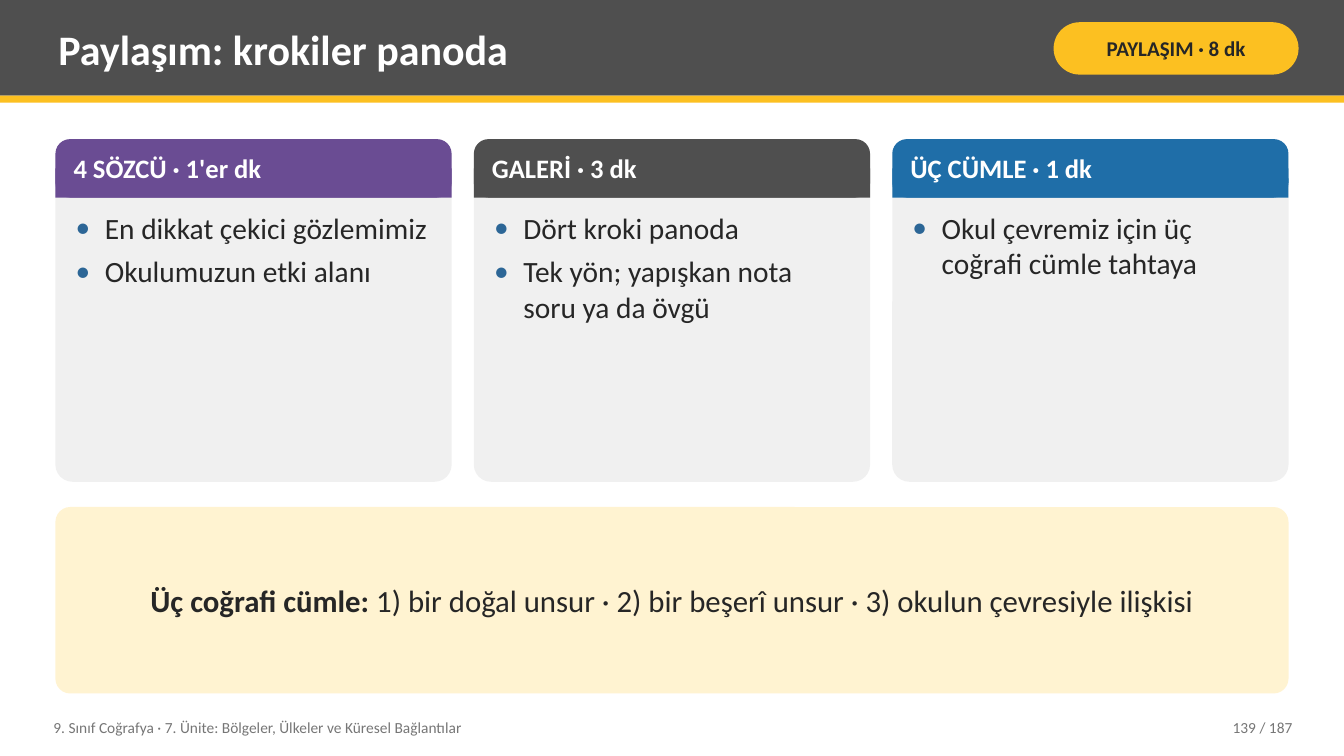
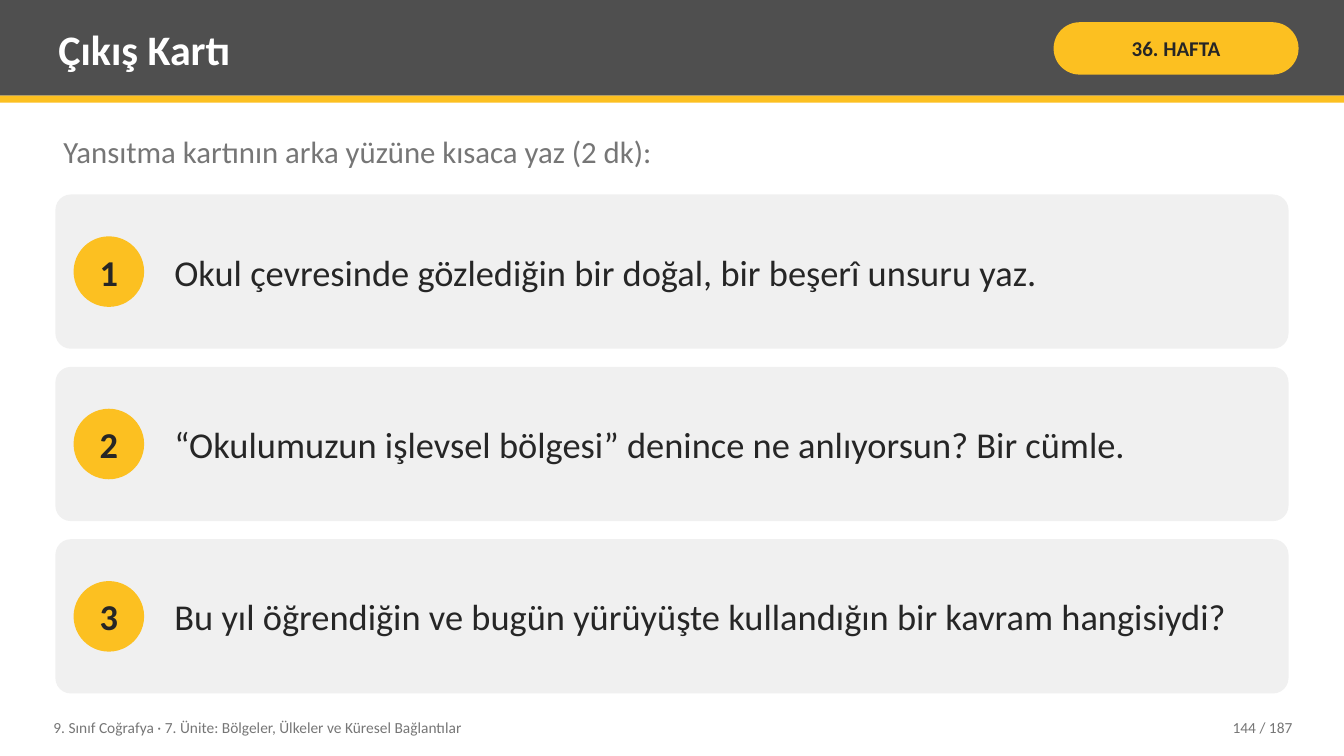
from lxml import etree
from pptx import Presentation
from pptx.dml.color import RGBColor
from pptx.enum.shapes import MSO_SHAPE
from pptx.enum.text import MSO_ANCHOR, PP_ALIGN
from pptx.oxml.ns import qn
from pptx.util import Inches, Pt

RECTANGLE = MSO_SHAPE.RECTANGLE
ROUNDED = MSO_SHAPE.ROUNDED_RECTANGLE
OVAL = MSO_SHAPE.OVAL
LEFT, CENTER, RIGHT = PP_ALIGN.LEFT, PP_ALIGN.CENTER, PP_ALIGN.RIGHT
TOP, MIDDLE = MSO_ANCHOR.TOP, MSO_ANCHOR.MIDDLE

FONT = "Calibri"
DARK, YELLOW, PALE_YELLOW = "4F4F4F", "FCC021", "FFF3D1"
PURPLE, BLUE, BULLET_BLUE = "6A4C93", "1F6EA8", "2C6696"
LIGHT, INK, MUTED, WHITE = "F0F0F0", "262626", "767676", "FFFFFF"

SLIDE_WIDTH, SLIDE_HEIGHT = 13.33, 7.5
MARGIN, CONTENT_WIDTH, CONTENT_BOTTOM = 0.55, 12.23, 6.88
FOOTER = "9. Sınıf Coğrafya · 7. Ünite: Bölgeler, Ülkeler ve Küresel Bağlantılar"


def add_box(slide, box, kind=None, fill=None, corner=None):
    lengths = [Inches(length) for length in box]
    if kind is None:
        return slide.shapes.add_textbox(*lengths)
    shape = slide.shapes.add_shape(kind, *lengths)
    shape.shadow.inherit = False
    shape.fill.solid()
    shape.fill.fore_color.rgb = RGBColor.from_string(fill)
    shape.line.fill.background()
    if corner is not None:
        shape.adjustments[0] = corner
    return shape


def write(shape, paragraphs, size, colour, bold=False, align=LEFT, anchor=MIDDLE,
          insets=(0.08, 0.04), wrap=True, bullets=False):
    frame = shape.text_frame
    horizontal, vertical = (Inches(inset) for inset in insets)
    frame_format = {
        "word_wrap": wrap, "vertical_anchor": anchor,
        "margin_left": horizontal, "margin_right": horizontal,
        "margin_top": vertical, "margin_bottom": vertical,
    }
    for name, value in frame_format.items():
        setattr(frame, name, value)
    for index, runs in enumerate(paragraphs):
        paragraph = frame.add_paragraph() if index else frame.paragraphs[0]
        paragraph.alignment = align
        if bullets:
            properties = paragraph._p.get_or_add_pPr()
            properties.set("marL", str(Inches(0.29)))
            properties.set("indent", str(-Inches(0.29)))
            bullet_colour = etree.SubElement(properties, qn("a:buClr"))
            etree.SubElement(bullet_colour, qn("a:srgbClr"), val=BULLET_BLUE)
            etree.SubElement(properties, qn("a:buFont"), typeface=FONT)
            etree.SubElement(properties, qn("a:buChar"), char="•")
            if index < len(paragraphs) - 1:
                paragraph.space_after = Pt(6)
        for text, run_bold in [(runs, bold)] if isinstance(runs, str) else runs:
            run = paragraph.add_run()
            run.text = text
            font_format = {"name": FONT, "size": Pt(size), "bold": run_bold}
            for name, value in font_format.items():
                setattr(run.font, name, value)
            run.font.color.rgb = RGBColor.from_string(colour)


presentation = Presentation()
presentation.slide_width = Inches(SLIDE_WIDTH)
presentation.slide_height = Inches(SLIDE_HEIGHT)

slides = []
for title, tag, page in [
    ("Paylaşım: krokiler panoda", "PAYLAŞIM · 8 dk", "139 / 187"),
    ("Çıkış Kartı", "36. HAFTA", "144 / 187"),
]:
    slide = presentation.slides.add_slide(presentation.slide_layouts[6])
    add_box(slide, (0, 0, SLIDE_WIDTH, 0.95), RECTANGLE, DARK)
    add_box(slide, (0, 0.95, SLIDE_WIDTH, 0.07), RECTANGLE, YELLOW)
    write(add_box(slide, (0.5, 0.07, 9.75, 0.82)), [title], 30, WHITE, bold=True)
    tag_pill = add_box(slide, (10.45, 0.22, 2.43, 0.52), ROUNDED, YELLOW, 0.5)
    write(tag_pill, [tag], 15, INK, bold=True, align=CENTER, insets=(0.05, 0.02))
    write(add_box(slide, (0.45, 7.04, 7.6, 0.36)), [FOOTER], 11, MUTED)
    write(add_box(slide, (11.3, 7.04, 1.6, 0.36)), [page], 11, MUTED, align=RIGHT)
    slides.append(slide)
sharing_slide, exit_slide = slides

cards = [
    ("4 SÖZCÜ · 1'er dk", PURPLE, ["En dikkat çekici gözlemimiz", "Okulumuzun etki alanı"]),
    ("GALERİ · 3 dk", DARK, ["Dört kroki panoda", "Tek yön; yapışkan nota soru ya da övgü"]),
    ("ÜÇ CÜMLE · 1 dk", BLUE, ["Okul çevremiz için üç coğrafi cümle tahtaya"]),
]
card_top, card_height, card_gap, head_height = 1.38, 3.4, 0.22, 0.58
card_width = (CONTENT_WIDTH - card_gap * (len(cards) - 1)) / len(cards)
for index, (heading, colour, points) in enumerate(cards):
    left = MARGIN + index * (card_width + card_gap)
    add_box(sharing_slide, (left, card_top, card_width, card_height), ROUNDED, LIGHT, 0.05)
    add_box(sharing_slide, (left, card_top, card_width, head_height), ROUNDED, colour, 0.25)
    add_box(sharing_slide, (left, card_top + head_height / 2, card_width, head_height / 2),
            RECTANGLE, colour)
    heading_box = add_box(sharing_slide, (left + 0.1, card_top, card_width - 0.2, head_height))
    write(heading_box, [heading], 19, WHITE, bold=True)
    points_box = add_box(sharing_slide, (left + 0.12, 2.04, card_width - 0.24, 2.66))
    write(points_box, points, 21, INK, anchor=TOP, bullets=True)

summary = add_box(sharing_slide, (MARGIN, 5.03, CONTENT_WIDTH, 1.85), ROUNDED, PALE_YELLOW, 0.08)
write(summary, [[
    ("Üç coğrafi cümle:", True),
    (" 1) bir doğal unsur · 2) bir beşerî unsur · 3) okulun çevresiyle ilişkisi", False),
]], 22, INK, align=CENTER, insets=(0.22, 0.08))

write(add_box(exit_slide, (MARGIN, 1.28, CONTENT_WIDTH, 0.55)),
      ["Yansıtma kartının arka yüzüne kısaca yaz (2 dk):"], 22, MUTED, anchor=TOP)

questions = [
    "Okul çevresinde gözlediğin bir doğal, bir beşerî unsuru yaz.",
    "“Okulumuzun işlevsel bölgesi” denince ne anlıyorsun? Bir cümle.",
    "Bu yıl öğrendiğin ve bugün yürüyüşte kullandığın bir kavram hangisiydi?",
]
row_top, row_gap, circle_size = 1.93, 0.18, 0.7
row_height = (CONTENT_BOTTOM - row_top - row_gap * (len(questions) - 1)) / len(questions)
for index, question in enumerate(questions):
    top = row_top + index * (row_height + row_gap)
    add_box(exit_slide, (MARGIN, top, CONTENT_WIDTH, row_height), ROUNDED, LIGHT, 0.1)
    circle_top = top + (row_height - circle_size) / 2
    circle = add_box(exit_slide, (0.73, circle_top, circle_size, circle_size), OVAL, YELLOW)
    write(circle, [str(index + 1)], 26, INK, bold=True, align=CENTER, insets=(0, 0), wrap=False)
    write(add_box(exit_slide, (1.65, top, 10.93, row_height)), [question], 26, INK)

presentation.save("out.pptx")
